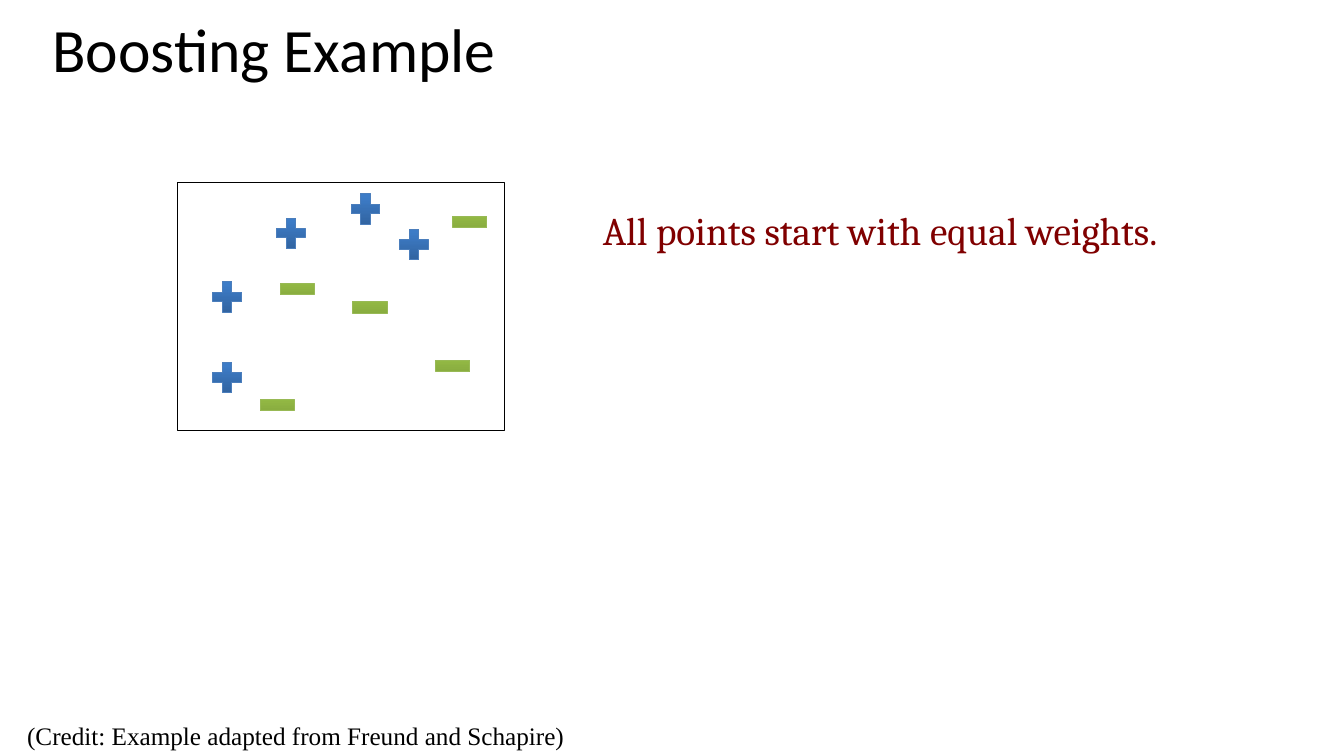
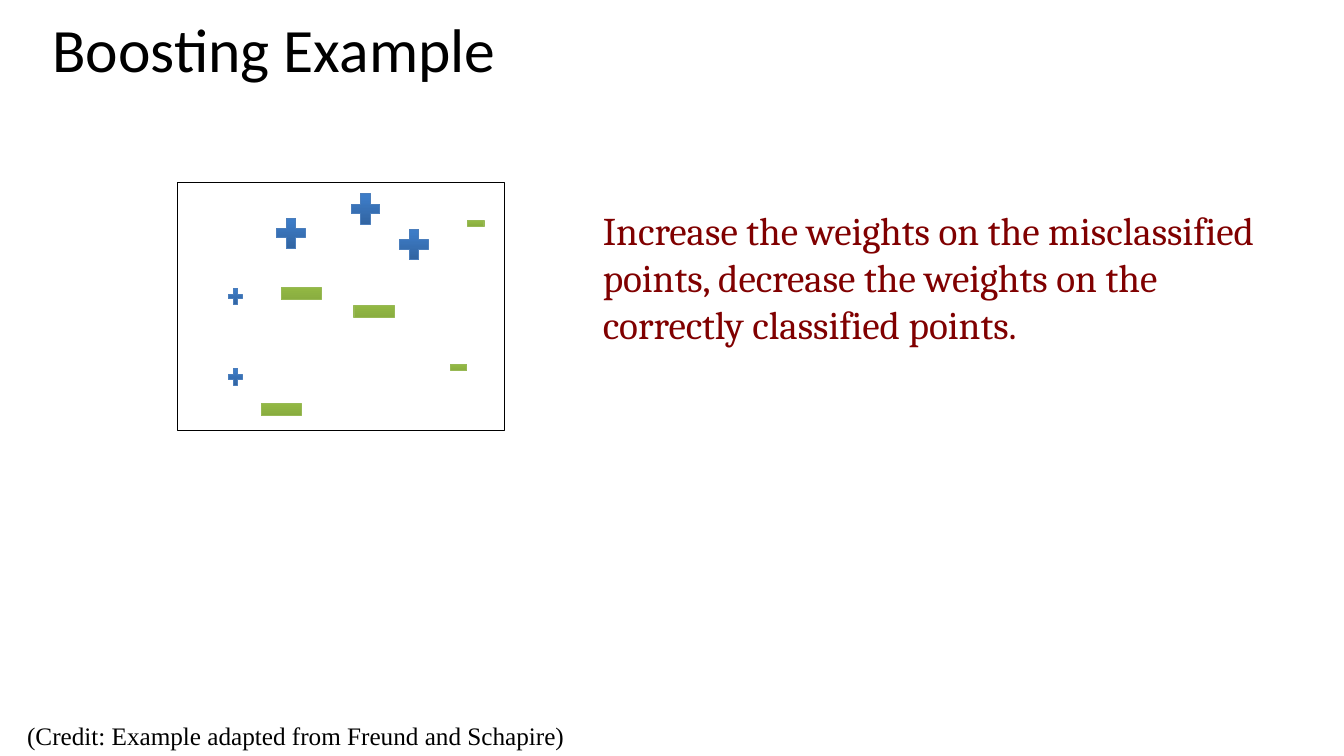
from copy import deepcopy

from pptx import Presentation
from pptx.dml.color import RGBColor
from pptx.enum.shapes import MSO_SHAPE
from pptx.enum.text import MSO_ANCHOR, MSO_AUTO_SIZE, PP_ALIGN
from pptx.oxml.ns import qn
from pptx.util import Inches, Pt

BLACK = RGBColor(0x00, 0x00, 0x00)
MAROON = RGBColor(0x80, 0x00, 0x00)
BLUE_LINE = RGBColor(0x4B, 0x7E, 0xBC)
BLUE_STOPS = [(0, RGBColor(0x2F, 0x5F, 0x99)), (0.8, RGBColor(0x3D, 0x7C, 0xC7)),
              (1, RGBColor(0x3A, 0x7C, 0xCB))]
GREEN_LINE = RGBColor(0x98, 0xB9, 0x55)
GREEN_STOPS = [(0, RGBColor(0x77, 0x97, 0x37)), (0.8, RGBColor(0x9B, 0xC3, 0x48)),
               (1, RGBColor(0x9D, 0xC7, 0x46))]

# Text and point styles
TITLE = {"name": "Calibri", "size": Pt(44)}
NOTE = {"name": "Cambria", "size": Pt(28)}
CREDIT = {"name": "Times New Roman", "size": Pt(18)}
PLUS = (MSO_SHAPE.MATH_PLUS, BLUE_LINE, BLUE_STOPS)
MINUS = (MSO_SHAPE.MATH_MINUS, GREEN_LINE, GREEN_STOPS)

# Each group of points: style, size, top-left corners
UPPER_PLUSES = (PLUS, (0.39, 0.41), [(2.69, 2.11), (3.43, 1.87), (3.91, 2.22)])
SLIDES = [
    ("All points start with equal weights.", [
        UPPER_PLUSES,
        (PLUS, (0.39, 0.41), [(2.06, 2.74), (2.06, 3.54)]),
        (MINUS, (0.46, 0.48), [(2.52, 3.78), (4.26, 3.39), (2.72, 2.63),
                               (3.44, 2.81), (4.43, 1.96)]),
    ]),
    ("Increase the weights on the misclassified points, "
     "decrease the weights on the correctly classified points.", [
        UPPER_PLUSES,
        (PLUS, (0.19, 0.22), [(2.24, 2.83), (2.24, 3.63)]),
        (MINUS, (0.54, 0.52), [(2.52, 3.8), (2.72, 2.65), (3.44, 2.83)]),
        (MINUS, (0.22, 0.26), [(4.44, 3.52), (4.61, 2.09)]),
    ]),
]


def write(sp, text, style, color):
    p = sp.text_frame.paragraphs[0]
    p.alignment = PP_ALIGN.LEFT
    r = p.add_run()
    r.text = text
    for name, value in style.items():
        setattr(r.font, name, value)
    r.font.color.rgb = color
    return p


def add_point(s, style, left, top, width, height):
    preset, line_color, stops = style
    sp = s.shapes.add_shape(preset, Inches(left), Inches(top), Inches(width), Inches(height))
    sp.shadow.inherit = False
    sp.line.color.rgb = line_color
    sp.line.width = Pt(0.75)
    sp.fill.gradient()
    sp.fill.gradient_angle = 90
    # The default gradient has two stops; a third is needed
    stop_list = sp.fill._xPr.find(qn("a:gradFill")).find(qn("a:gsLst"))
    stop_list.append(deepcopy(stop_list[-1]))
    for stop, (position, color) in zip(sp.fill.gradient_stops, stops):
        stop.position = position
        stop.color.rgb = color


prs = Presentation()
prs.slide_width, prs.slide_height = Inches(13.33), Inches(7.5)

for note, groups in SLIDES:
    s = prs.slides.add_slide(prs.slide_layouts[5])

    # Title
    title = s.shapes.title
    title.left, title.top = Inches(0.42), Inches(0.2)
    title.width, title.height = Inches(12.6), Inches(1.16)
    title.text_frame.auto_size = MSO_AUTO_SIZE.NONE
    title.text_frame.vertical_anchor = MSO_ANCHOR.TOP
    write(title, "Boosting Example", TITLE, BLACK).line_spacing = 0.8

    # Frame and the weighted points in it
    frame = s.shapes.add_shape(MSO_SHAPE.RECTANGLE, Inches(1.76), Inches(1.81),
                               Inches(3.24), Inches(2.46))
    frame.shadow.inherit = False
    frame.fill.background()
    frame.line.color.rgb = BLACK
    frame.line.width = Pt(0.75)
    for style, (width, height), corners in groups:
        for left, top in corners:
            add_point(s, style, left, top, width, height)

    # Explanation
    sp = s.shapes.add_textbox(Inches(5.88), Inches(2), Inches(6.81), Inches(2.46))
    sp.text_frame.word_wrap = True
    write(sp, note, NOTE, MAROON)

    # Credit line
    sp = s.shapes.add_textbox(Inches(0.17), Inches(7.1), Inches(5.59), Inches(0.4))
    sp.text_frame.word_wrap = False
    sp.text_frame.auto_size = MSO_AUTO_SIZE.SHAPE_TO_FIT_TEXT
    write(sp, "(Credit: Example adapted from Freund and Schapire)", CREDIT, BLACK)

prs.save("out.pptx")
